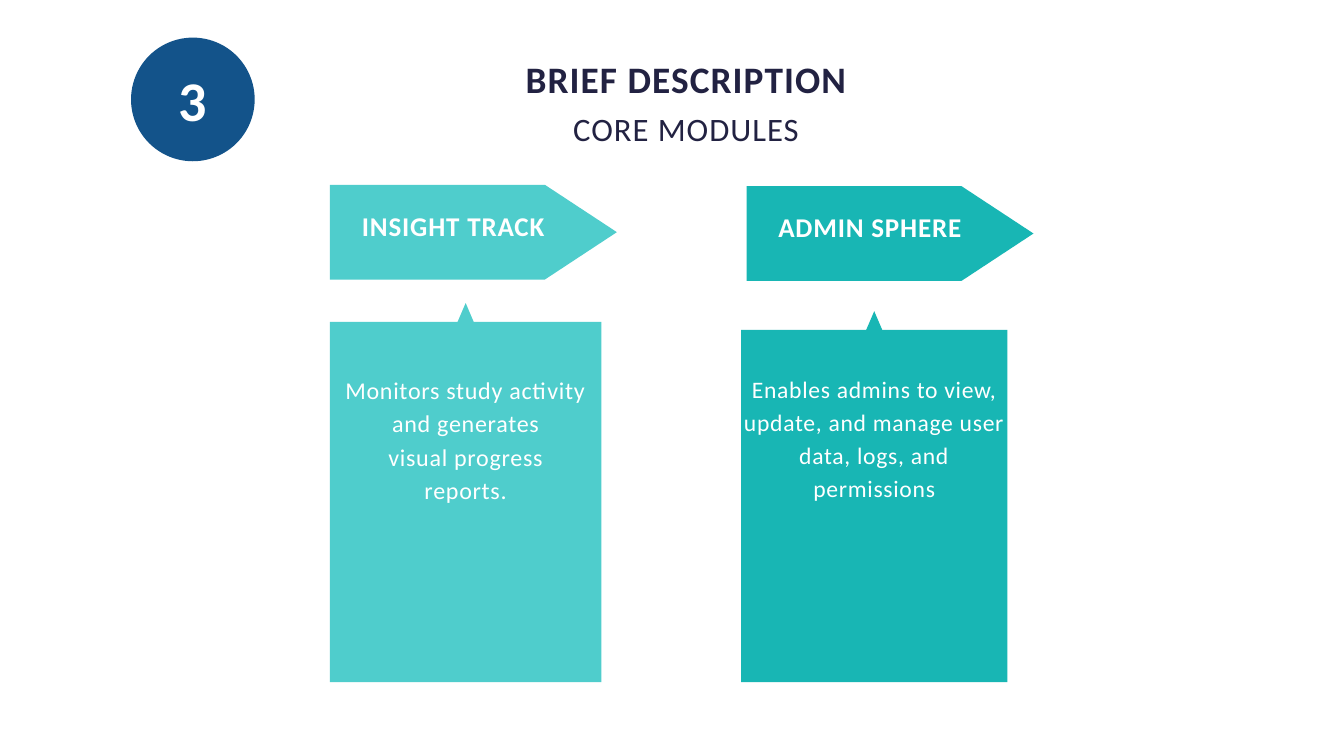
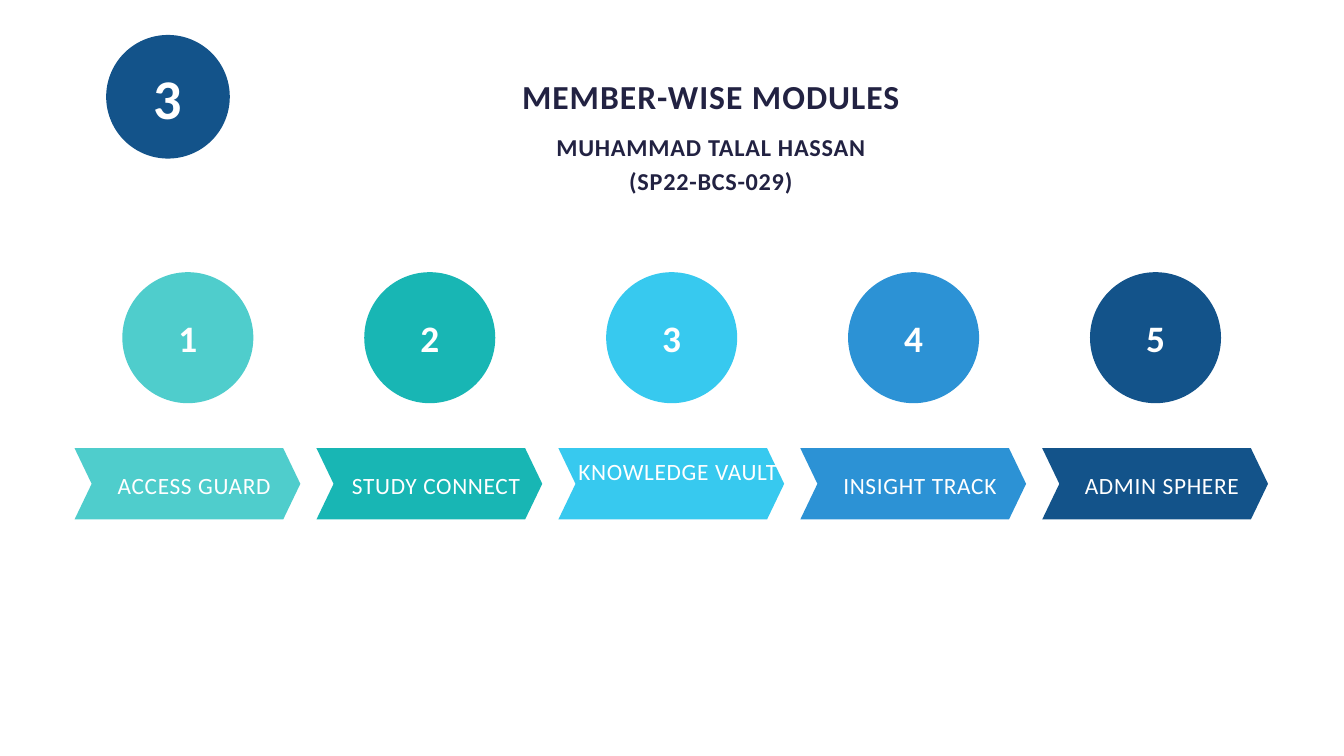
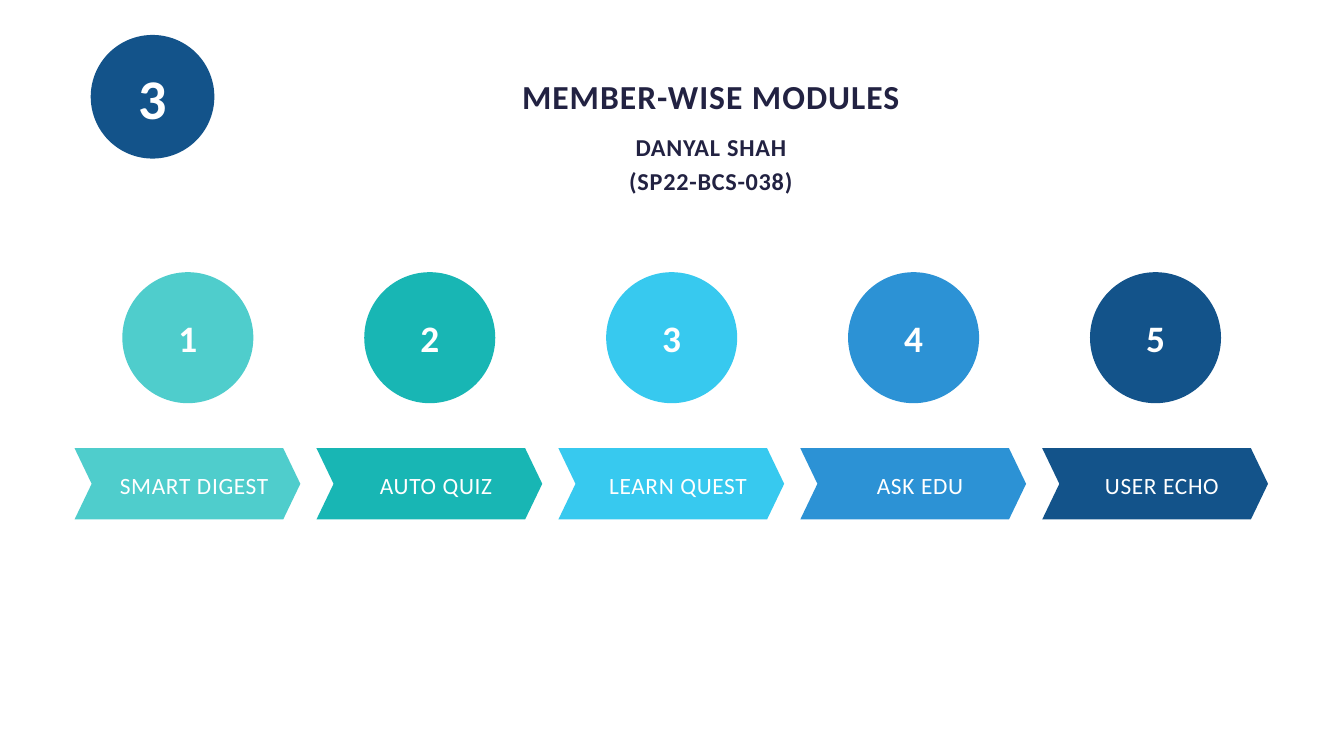
from pptx import Presentation
from pptx.dml.color import RGBColor
from pptx.enum.shapes import MSO_SHAPE
from pptx.enum.text import MSO_ANCHOR, PP_ALIGN
from pptx.util import Inches, Pt

COLORS = {
    "aqua": "4FCDCC", "teal": "18B6B4", "sky": "37C9EF",
    "blue": "2C92D5", "navy": "13538A", "ink": "222242", "white": "FFFFFF",
}
FONT = "Calibri"
SECTION = "3"
HEADING_WIDTH = 12.24

# Heading lines: text, top, height, size, bold, line spacing as a share of size
CORE_HEADING = [
    (["BRIEF DESCRIPTION"], 0.77, 0.7, 40, True, 1.31),
    (["CORE MODULES"], 1.53, 0.63, 35, False, 1.4),
]
# Arrow and panel boxes: left, top, width, height
CORE_MODULES = [
    {"name": "INSIGHT TRACK", "color": "aqua",
     "arrow": (4.91, 2.75, 4.27, 1.41), "panel": (4.91, 4.51, 4.04, 5.64),
     "lines": ["Monitors study activity and generates", "visual progress", "reports."],
     "size": 25.8, "leading": 36},
    {"name": "ADMIN SPHERE", "color": "teal",
     "arrow": (11.11, 2.77, 4.27, 1.41), "panel": (11.03, 4.63, 3.96, 5.52),
     "lines": ["Enables admins to view, update, and manage user data, logs, and permissions"],
     "size": 25.3, "leading": 35.4},
]
PANEL_TEXT_TOP = 5.51
TIP_WIDTH, TIP_HEIGHT = 0.24, 0.28

MEMBERS = [
    {"name": "MUHAMMAD TALAL HASSAN", "number": "(SP22-BCS-029)", "badge_left": 1.58,
     "modules": ["ACCESS GUARD", "STUDY CONNECT", "KNOWLEDGE VAULT",
                 "INSIGHT TRACK", "ADMIN SPHERE"]},
    {"name": "DANYAL SHAH", "number": "(SP22-BCS-038)", "badge_left": 1.35,
     "modules": ["SMART DIGEST", "AUTO QUIZ", "LEARN QUEST", "ASK EDU", "USER ECHO"]},
]
STEP_COLORS = ["aqua", "teal", "sky", "blue", "navy"]
STEP_LEFT, STEP_PITCH = 1.11, 3.6
LABEL_TOP = 6.94
RAISED_LABEL_TOPS = {"KNOWLEDGE VAULT": 6.74}


def rgb(name):
    return RGBColor.from_string(COLORS[name])


def write(shape, lines, size, color="white", bold=False, leading=None,
          anchor=MSO_ANCHOR.MIDDLE, insets=(0, 0, 0, 0)):
    """Fill a shape with centred lines; insets are left, top, right, bottom."""
    frame = shape.text_frame
    frame.word_wrap = True
    frame.vertical_anchor = anchor
    (frame.margin_left, frame.margin_top,
     frame.margin_right, frame.margin_bottom) = map(Inches, insets)
    for index, line in enumerate(lines):
        para = frame.add_paragraph() if index else frame.paragraphs[0]
        para.alignment = PP_ALIGN.CENTER
        para.font.name = FONT
        para.font.size = Pt(size)
        para.font.bold = bold
        para.font.color.rgb = rgb(color)
        if leading:
            para.line_spacing = Pt(leading)
        span = para.add_run()
        span.text = line
        # Letter spacing is 3% of the size, in hundredths of a point
        span.font._element.set("spc", str(round(size * 3)))


def paint(shape, color):
    shape.shadow.inherit = False
    shape.fill.solid()
    shape.fill.fore_color.rgb = rgb(color)
    shape.line.fill.background()
    return shape


def add_preset(page, preset, box, color):
    return paint(page.shapes.add_shape(preset, *map(Inches, box)), color)


def add_text(page, box, lines, size, **style):
    text_box = page.shapes.add_textbox(*map(Inches, box))
    write(text_box, lines, size, anchor=MSO_ANCHOR.TOP, **style)


def add_disc(page, left, top, diameter, number, size):
    disc = add_preset(page, MSO_SHAPE.OVAL, (left, top, diameter, diameter), "navy")
    write(disc, [number], size, bold=True)
    return disc


def add_heading(page, left, heading):
    for lines, top, height, size, bold, spacing in heading:
        add_text(page, (left, top, HEADING_WIDTH, height), lines, size,
                 color="ink", bold=bold, leading=round(size * spacing, 1))


def add_panel(page, module):
    """Draw a rectangle with a small tip in the middle of its top side."""
    left, top, width, height = module["panel"]
    right, bottom = left + width, top + height
    middle, shoulder = left + width / 2, top + TIP_HEIGHT
    outline = [
        (middle + TIP_WIDTH / 2, shoulder), (right, shoulder), (right, bottom),
        (left, bottom), (left, shoulder), (middle - TIP_WIDTH / 2, shoulder),
    ]
    builder = page.shapes.build_freeform(Inches(middle), Inches(top))
    builder.add_line_segments([(Inches(x), Inches(y)) for x, y in outline])
    panel = paint(builder.convert_to_shape(), module["color"])
    write(panel, module["lines"], module["size"], leading=module["leading"],
          anchor=MSO_ANCHOR.TOP, insets=(0, PANEL_TEXT_TOP - top, 0, 0))


def add_core_slide(page):
    add_heading(page, 4.09, CORE_HEADING)
    add_disc(page, 1.95, 0.56, 1.84, SECTION, 60)
    for module in CORE_MODULES:
        arrow = add_preset(page, MSO_SHAPE.PENTAGON, module["arrow"], module["color"])
        arrow.adjustments[0] = 0.76
        write(arrow, [module["name"]], 29, bold=True, insets=(0.06, 0, 0.12, 0.2))
        add_panel(page, module)


def add_member_slide(page, member):
    add_heading(page, 4.46, [
        (["MEMBER-WISE MODULES"], 1.07, 0.64, 36, True, 1.31),
        ([member["name"], member["number"]], 1.89, 1.49, 26, True, 1.4),
    ])
    add_disc(page, member["badge_left"], 0.52, 1.84, SECTION, 60)
    for index, (module, color) in enumerate(zip(member["modules"], STEP_COLORS)):
        left = STEP_LEFT + index * STEP_PITCH
        chevron = add_preset(page, MSO_SHAPE.CHEVRON, (left, 6.67, 3.36, 1.06), color)
        chevron.adjustments[0] = 0.24
        disc = add_disc(page, left + 0.71, 4.05, 1.95, str(index + 1), 40)
        paint(disc, color)
        label_top = RAISED_LABEL_TOPS.get(module, LABEL_TOP)
        add_text(page, (left + 0.23, label_top, 3.1, 0.47), [module], 25, leading=35)


def main():
    deck = Presentation()
    deck.slide_width, deck.slide_height = Inches(20), Inches(11.25)
    blank = deck.slide_layouts[6]
    add_core_slide(deck.slides.add_slide(blank))
    for member in MEMBERS:
        add_member_slide(deck.slides.add_slide(blank), member)
    deck.save("out.pptx")


if __name__ == "__main__":
    main()
